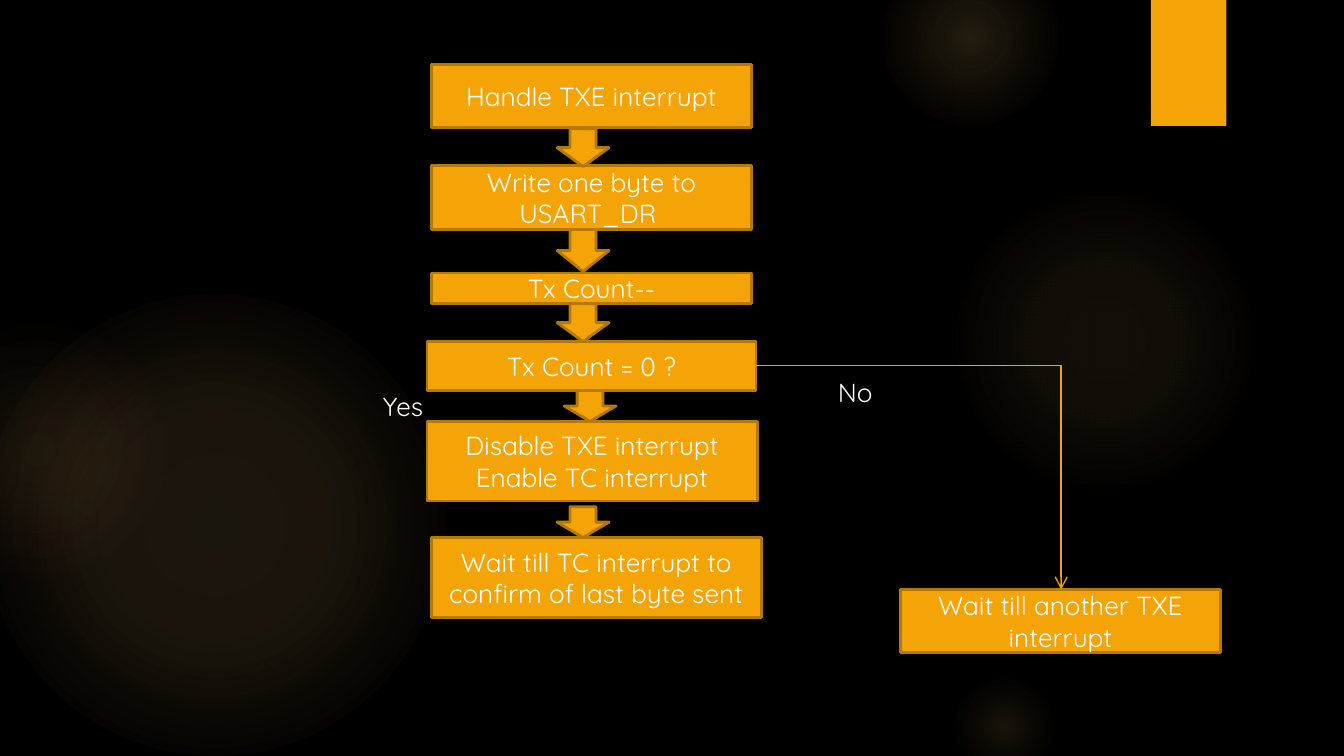
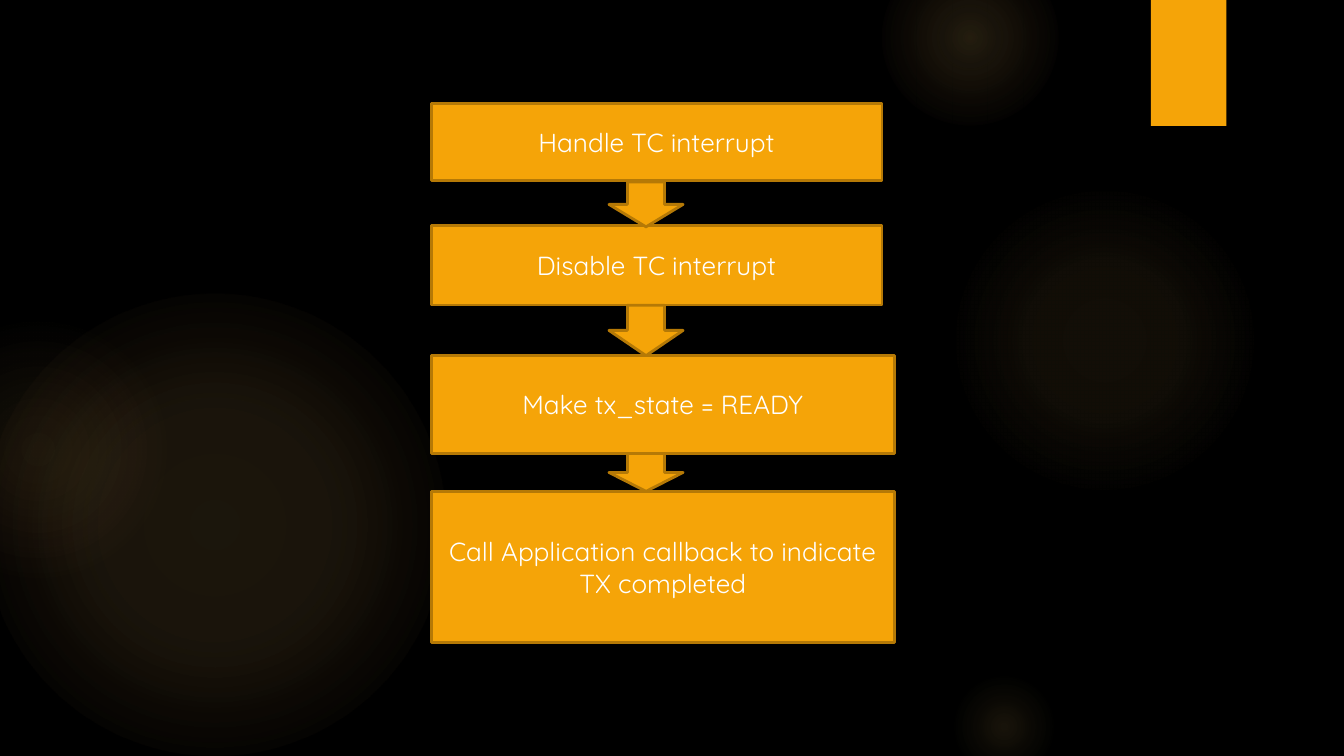
import pptx
import pptx.util
import pptx.oxml
import pptx.oxml.ns
import pptx.dml.color
import pptx.enum.shapes
import pptx.enum.text

PX = 9525  # EMU in one px, 96 px to the inch
FONT = "Quicksand"
HUES = {"back": "000000", "gold": "F5A408", "edge": "B57906", "text": "FFFFFF",
        "glow": "FAC96A", "rose": "F59B74"}
RGB = {name: pptx.dml.color.RGBColor.from_string(hue) for name, hue in HUES.items()}
KIND = pptx.enum.shapes.MSO_SHAPE
ALIGN = pptx.enum.text.PP_ALIGN

# left, top, size, then stops of (position %, colour, opacity %)
GLOWS = [
    (-12, 210, 330, [(0, "glow", 11), (36, "glow", 10), (75, "glow", 0)]),
    (-66, 228, 186, [(0, "glow", 8), (36, "glow", 5), (71, "rose", 0)]),
    (678, 132, 222, [(0, "glow", 7), (36, "glow", 6), (69, "glow", 0)]),
    (630, -36, 126, [(0, "glow", 14), (36, "glow", 7), (73, "glow", 0)]),
    (678, 480, 78, [(0, "glow", 10), (31, "glow", 5), (66, "glow", 0)]),
]
BAND = (822, 0, 54, 90)

# Each flow: boxes as (left, top, width, height, text),
# arrows as (left, top, height), and the arrow width
FLOWS = [
    {
        "boxes": [
            (308, 46, 229, 45, "Handle TXE interrupt"),
            (308, 118, 229, 46, "Write one byte to USART_DR "),
            (308, 195, 229, 22, "Tx Count--"),
            (305, 244, 235, 35, "Tx Count = 0 ?"),
            (305, 301, 236, 57, "Disable TXE interrupt\nEnable TC interrupt"),
            (308, 384, 236, 57, "Wait till TC interrupt to confirm of last byte sent"),
            (643, 421, 229, 45, "Wait till another TXE interrupt"),
        ],
        "arrows": [(398, 92, 27), (398, 164, 30), (398, 217, 27),
                   (403, 279, 22), (398, 362, 22)],
        "wide": 37,
    },
    {
        "boxes": [
            (308, 74, 322, 55, "Handle TC interrupt"),
            (308, 161, 322, 57, "Disable TC interrupt"),
            (308, 254, 331, 70, "Make tx_state = READY"),
            (308, 351, 331, 108, "Call Application callback to indicate TX completed"),
        ],
        "arrows": [(435, 130, 32), (435, 218, 36), (435, 324, 27)],
        "wide": 53,
    },
]
LABELS = [(264, 274, 50, 33, "Yes"), (589, 264, 46, 33, "No")]
BRANCH = (540, 261, 758, 421)


def draw(shapes, kind, area, edge=True):
    """Add a gold shape, with a darker edge if wanted."""
    shape = shapes.add_shape(kind, *[n * PX for n in area])
    shape.shadow.inherit = False
    shape.fill.solid()
    shape.fill.fore_color.rgb = RGB["gold"]
    if edge:
        shape.line.color.rgb = RGB["edge"]
        shape.line.width = pptx.util.Pt(1.5)
    else:
        shape.line.fill.background()
    return shape


def write(shape, text, align):
    frame = shape.text_frame
    frame.text = text
    for para in frame.paragraphs:
        para.alignment = align
        for run in para.runs:
            run.font.name = FONT
            run.font.size = pptx.util.Pt(14)
            run.font.color.rgb = RGB["text"]
    return frame


deck = pptx.Presentation()
deck.slide_width = 960 * PX
deck.slide_height = 540 * PX
space = pptx.oxml.ns.nsdecls("a")
slides = []

for flow in FLOWS:
    slide = deck.slides.add_slide(deck.slide_layouts[6])
    slides.append(slide)
    slide.background.fill.solid()
    slide.background.fill.fore_color.rgb = RGB["back"]

    for left, top, size, stops in GLOWS:
        glow = draw(slide.shapes, KIND.OVAL, (left, top, size, size), edge=False)
        marks = "".join(
            f'<a:gs pos="{pos * 1000}"><a:srgbClr val="{HUES[hue]}">'
            f'<a:alpha val="{alpha * 1000}"/></a:srgbClr></a:gs>'
            for pos, hue, alpha in stops)
        grad = pptx.oxml.parse_xml(
            f'<a:gradFill {space} rotWithShape="1"><a:gsLst>{marks}</a:gsLst>'
            '<a:path path="circle"><a:fillToRect l="50000" t="50000" r="50000" b="50000"/>'
            '</a:path></a:gradFill>')
        props = glow._element.spPr
        props.replace(props.find(pptx.oxml.ns.qn("a:solidFill")), grad)
    draw(slide.shapes, KIND.RECTANGLE, BAND, edge=False)

    for *area, text in flow["boxes"]:
        box = draw(slide.shapes, KIND.RECTANGLE, area)
        frame = write(box, text, ALIGN.CENTER)
        frame.word_wrap = True
        frame.vertical_anchor = pptx.enum.text.MSO_ANCHOR.MIDDLE
    for left, top, high in flow["arrows"]:
        draw(slide.shapes, KIND.DOWN_ARROW, (left, top, flow["wide"], high))

# The first flow branches on the count
shapes = slides[0].shapes
for *area, text in LABELS:
    label = shapes.add_textbox(*[n * PX for n in area])
    frame = write(label, text, ALIGN.LEFT)
    frame.word_wrap = False
    frame.auto_size = pptx.enum.text.MSO_AUTO_SIZE.SHAPE_TO_FIT_TEXT

link = shapes.add_connector(pptx.enum.shapes.MSO_CONNECTOR.ELBOW, *[n * PX for n in BRANCH])
link.line.color.rgb = RGB["gold"]
link.line.width = pptx.util.Pt(0.75)
props = link._element.spPr
props.find(pptx.oxml.ns.qn("a:prstGeom")).set("prst", "bentConnector2")
props.find(pptx.oxml.ns.qn("a:ln")).append(
    pptx.oxml.parse_xml(f'<a:tailEnd {space} type="arrow"/>'))
props.append(pptx.oxml.parse_xml(f"<a:effectLst {space}/>"))

deck.save("out.pptx")
